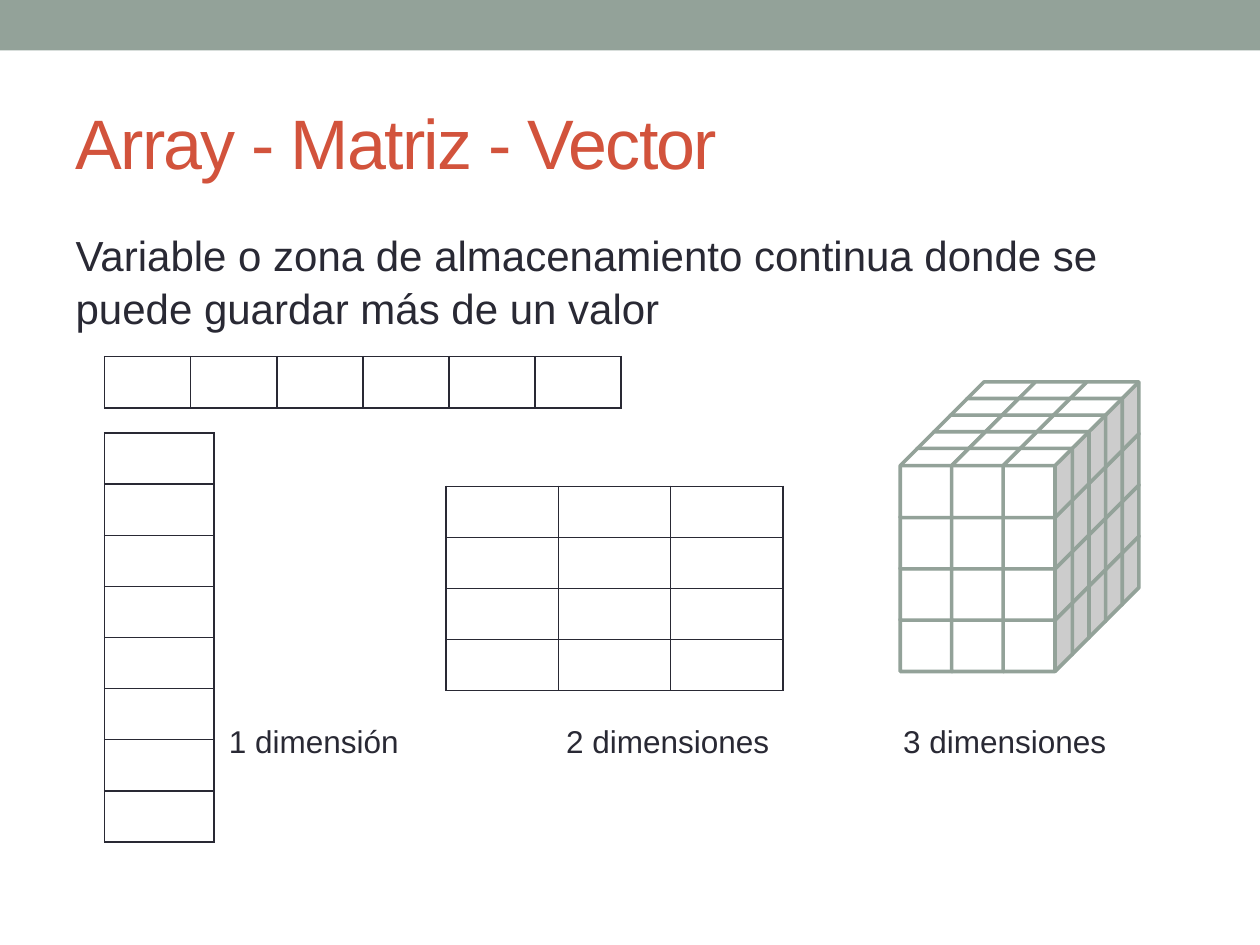
import itertools

import lxml.etree
import pptx
import pptx.dml.color
import pptx.enum.shapes
import pptx.enum.text
import pptx.oxml.ns
import pptx.util

Pt = pptx.util.Pt
FONT = "Arial"
COLORS = {"bar": "93A299", "title": "D2533C", "text": "292934", "white": "FFFFFF"}

TITLE = "Array - Matriz - Vector"
BODY = "Variable o zona de almacenamiento continua donde se puede guardar más de un valor"
LABELS = ["1 dimensión", "2 dimensiones", "3 dimensiones"]
# left, top, rows, columns, column width, row height
TABLES = [
    (59.8, 247.5, 8, 1, 62.6, 29.2),
    (59.8, 203.8, 1, 6, 49.2, 24),
    (254.9, 277.9, 4, 3, 64.2, 29.2),
]
CUBE = {"left": 552.4, "top": 218.2, "size": 39.6, "col": 29.4, "row": 29.3, "layer": 9.5}
ROWS, LAYERS, COLS = 4, 5, 3


def rgb(name):
    """Return a palette colour."""
    return pptx.dml.color.RGBColor.from_string(COLORS[name])


def place(sp, left, top, width, height):
    """Move and size a shape, in points."""
    sp.left, sp.top, sp.width, sp.height = Pt(left), Pt(top), Pt(width), Pt(height)


def write(sp, text, size, color):
    """Put one left-aligned run into a shape and return its paragraph and run."""
    tf = sp.text_frame
    tf.word_wrap = True
    tf.auto_size = pptx.enum.text.MSO_AUTO_SIZE.NONE
    p = tf.paragraphs[0]
    p.alignment = pptx.enum.text.PP_ALIGN.LEFT
    r = p.add_run()
    r.text = text
    r.font.name, r.font.size = FONT, Pt(size)
    r.font.color.rgb = rgb(color)
    return p, r


def border(cell):
    """Give a cell thin lines on all sides and no fill."""
    tc_pr = cell._tc.get_or_add_tcPr()
    for side in ("a:lnL", "a:lnR", "a:lnT", "a:lnB"):
        ln = lxml.etree.SubElement(tc_pr, pptx.oxml.ns.qn(side), w=str(Pt(1)))
        fill = lxml.etree.SubElement(ln, pptx.oxml.ns.qn("a:solidFill"))
        lxml.etree.SubElement(fill, pptx.oxml.ns.qn("a:srgbClr"), val=COLORS["text"])
    cell.fill.background()


def add_grid(s, left, top, rows, cols, width, height):
    """Add an empty table of equal cells."""
    tbl = s.shapes.add_table(rows, cols, Pt(left), Pt(top),
                             Pt(cols * width), Pt(rows * height)).table
    tbl.first_row = tbl.horz_banding = False
    for col in tbl.columns:
        col.width = Pt(width)
    for row in tbl.rows:
        row.height = Pt(height)
    for cell in tbl.iter_cells():
        border(cell)


def add_block(s):
    """Stack small cubes from bottom to top and from back to front."""
    group = s.shapes.add_group_shape()
    for row, layer, col in itertools.product(reversed(range(ROWS)), range(LAYERS), range(COLS)):
        left = CUBE["left"] + col * CUBE["col"] - layer * CUBE["layer"]
        top = CUBE["top"] + row * CUBE["row"] + layer * CUBE["layer"]
        sp = group.shapes.add_shape(pptx.enum.shapes.MSO_SHAPE.CUBE, Pt(left), Pt(top),
                                    Pt(CUBE["size"]), Pt(CUBE["size"]))
        sp.shadow.inherit = False
        sp.fill.solid()
        sp.fill.fore_color.rgb = rgb("white")
        sp.line.color.rgb = rgb("bar")
        sp.line.width = Pt(2.08)


prs = pptx.Presentation()
prs.slide_width, prs.slide_height = Pt(720), Pt(540)
s = prs.slides.add_slide(prs.slide_layouts[1])

bar = s.shapes.add_shape(pptx.enum.shapes.MSO_SHAPE.RECTANGLE, 0, 0, Pt(720), Pt(28.8))
bar.shadow.inherit = False
bar.fill.solid()
bar.fill.fore_color.rgb = rgb("bar")
bar.line.fill.background()

title, body = s.shapes.title, s.placeholders[1]
place(title, 36, 41.8, 648, 77.8)
p, r = write(title, TITLE, 40, "title")
title.text_frame.vertical_anchor = pptx.enum.text.MSO_ANCHOR.MIDDLE
r.font._element.set("spc", "-100")

place(body, 36, 126, 648, 383.8)
p, r = write(body, BODY, 24, "text")
p.line_spacing = 1.05
p.space_before = Pt(4.8)
p_pr = p._p.get_or_add_pPr()
p_pr.set("marL", "0")
p_pr.set("indent", "0")
lxml.etree.SubElement(p_pr, pptx.oxml.ns.qn("a:buNone"))

for grid in TABLES:
    add_grid(s, *grid)
add_block(s)
for i, label in enumerate(LABELS):
    box = s.shapes.add_textbox(Pt(123.8 + i * 192.6), Pt(409), Pt(141.8), Pt(28.8))
    write(box, label, 18, "text")

prs.save("out.pptx")
